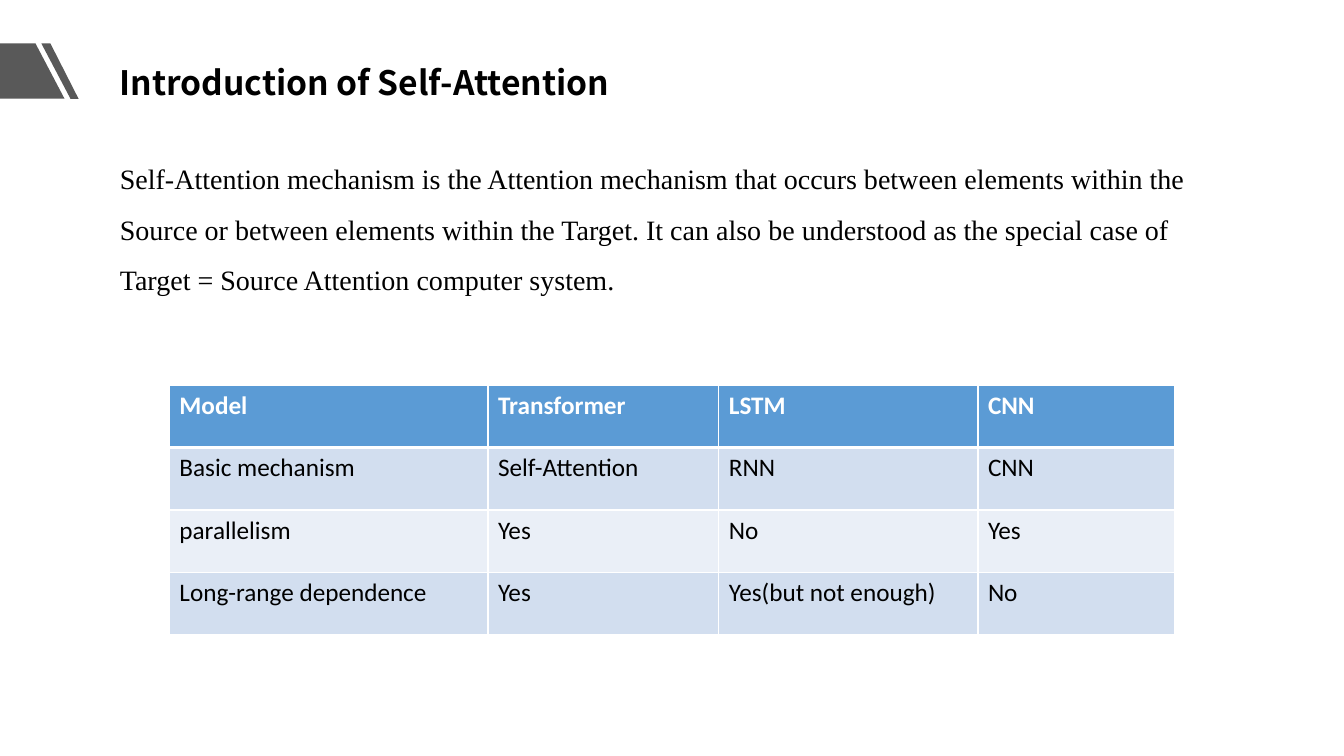
from lxml import etree
from pptx import Presentation
from pptx.dml.color import RGBColor
from pptx.enum.shapes import MSO_SHAPE
from pptx.enum.text import MSO_AUTO_SIZE
from pptx.oxml.ns import qn
from pptx.util import Inches, Pt

PARALLELOGRAM = MSO_SHAPE.PARALLELOGRAM
FIT_SHAPE = MSO_AUTO_SIZE.SHAPE_TO_FIT_TEXT

GRAY, BLACK, WHITE = "595959", "000000", "FFFFFF"
HEADER, BANDS = "5B9BD5", ("D2DEEF", "EAEFF7")
COLUMN_WIDTHS = (3.16, 2.29, 2.57, 1.95)
ROW_HEIGHT = 0.62
ROWS = (
    ("Model", "Transformer", "LSTM", "CNN"),
    ("Basic mechanism", "Self-Attention", "RNN", "CNN"),
    ("parallelism", "Yes", "No", "Yes"),
    ("Long-range dependence", "Yes", "Yes(but not enough)", "No"),
)
DEFINITION = (
    "Self-Attention mechanism is the Attention mechanism that occurs between "
    "elements within the Source or between elements within the Target. It can "
    "also be understood as the special case of Target = Source Attention "
    "computer system."
)


def rgb(color):
    return RGBColor.from_string(color)


def style_run(r, font, size, color, bold=False):
    r.font.name = font
    r.font.size = Pt(size)
    r.font.bold = bold
    r.font.color.rgb = rgb(color)


def paint(shape, color):
    shape.shadow.inherit = False
    shape.fill.solid()
    shape.fill.fore_color.rgb = rgb(color)
    shape.line.fill.background()


def add_corner_mark(s, x, y, w, h):
    block = s.shapes.add_shape(
        PARALLELOGRAM, Inches(x), Inches(y), Inches(w), Inches(h))
    block.adjustments[0] = 0.525
    block.element.spPr.xfrm.set("flipV", "1")
    paint(block, GRAY)

    left = x + w - 0.23
    corners = [(left, y), (left + 0.09, y), (left + 0.37, y + h), (left + 0.29, y + h)]
    points = [(Inches(px), Inches(py)) for px, py in corners]
    outline = s.shapes.build_freeform(*points[0])
    outline.add_line_segments(points[1:], close=True)
    paint(outline.convert_to_shape(), GRAY)


def add_text(s, x, y, w, h, text, font, size, bold=False, wrap=True, spacing=None):
    box = s.shapes.add_textbox(Inches(x), Inches(y), Inches(w), Inches(h))
    tf = box.text_frame
    tf.word_wrap = wrap
    tf.auto_size = FIT_SHAPE
    tf.text = text
    p = tf.paragraphs[0]
    p.line_spacing = spacing
    style_run(p.runs[0], font, size, BLACK, bold)


def set_borders(cell, widths):
    tc_pr = cell._tc.get_or_add_tcPr()
    for i, (side, width) in enumerate(widths.items()):
        ln = etree.Element(qn(f"a:ln{side}"), w=str(Pt(width)))
        fill = etree.SubElement(ln, qn("a:solidFill"))
        etree.SubElement(fill, qn("a:srgbClr"), val=WHITE)
        tc_pr.insert(i, ln)


def add_comparison_table(s, x, y, w, h):
    frame = s.shapes.add_table(
        len(ROWS), len(COLUMN_WIDTHS), Inches(x), Inches(y), Inches(w), Inches(h))
    table = frame.table
    for column, width in zip(table.columns, COLUMN_WIDTHS):
        column.width = Inches(width)
    for i, values in enumerate(ROWS):
        table.rows[i].height = Inches(ROW_HEIGHT)
        is_header = i == 0
        fill = HEADER if is_header else BANDS[(i - 1) % 2]
        widths = {"L": 1, "R": 1, "T": 3 if i == 1 else 1, "B": 3 if is_header else 1}
        for j, value in enumerate(values):
            cell = table.cell(i, j)
            cell.text = value
            cell.fill.solid()
            cell.fill.fore_color.rgb = rgb(fill)
            set_borders(cell, widths)
            r = cell.text_frame.paragraphs[0].runs[0]
            style_run(r, "Calibri", 18, WHITE if is_header else BLACK, is_header)


def main():
    prs = Presentation()
    prs.slide_width = Inches(13.33)
    prs.slide_height = Inches(7.5)
    s = prs.slides.add_slide(prs.slide_layouts[6])
    add_corner_mark(s, -0.78, 0.43, 1.42, 0.55)
    add_text(s, 1.09, 0.57, 5.21, 0.5, "Introduction of Self-Attention",
             "Noto Sans CJK SC", 24, bold=True, wrap=False)
    add_text(s, 1.09, 1.39, 11.09, 1.61, DEFINITION,
             "Times New Roman", 20, spacing=1.5)
    add_comparison_table(s, 1.68, 3.82, sum(COLUMN_WIDTHS), ROW_HEIGHT * len(ROWS))
    prs.save("out.pptx")


if __name__ == "__main__":
    main()
